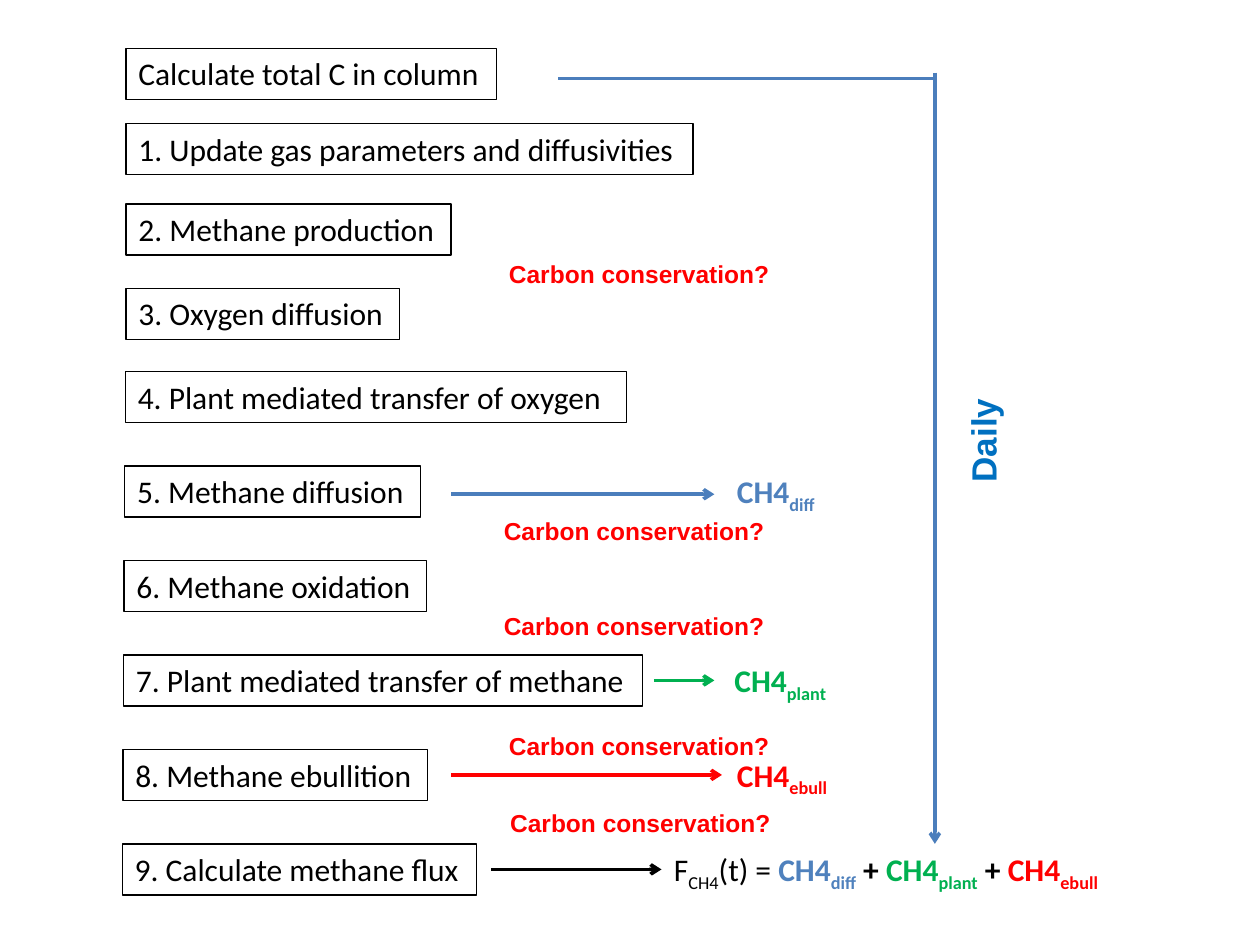
from dataclasses import dataclass

from lxml import etree
from pptx import Presentation, util as u
from pptx.dml.color import RGBColor
from pptx.enum import shapes, text
from pptx.oxml import ns


@dataclass(frozen=True)
class Theme:
    black: str = "000000"
    blue: str = "4F81BD"
    line_blue: str = "4B7EBC"
    daily_blue: str = "0070C0"
    green: str = "00B050"
    red: str = "FF0000"
    body_font: str = "Calibri"
    note_font: str = "Arial"
    body_size: int = 18
    note_size: int = 14
    daily_size: int = 20
    border: float = 0.75
    arrow: float = 2


THEME = Theme()

# Grid of ten columns and ten rows
WIDTH, HEIGHT = u.Inches(10), u.Inches(7.5)
COLUMN, ROW = WIDTH / 10, HEIGHT / 10
BOX_ROWS = 0.54
FIRST_FLUX_STEP = 5

# Steps: row, width in columns, wording
STEPS = [
    (0.51, 2.94, "Calculate total C in column"),
    (1.31, 4.5, "1. Update gas parameters and diffusivities"),
    (2.16, 2.58, "2. Methane production"),
    (3.05, 2.17, "3. Oxygen diffusion"),
    (3.93, 3.98, "4. Plant mediated transfer of oxygen "),
    (4.93, 2.35, "5. Methane diffusion"),
    (5.93, 2.4, "6. Methane oxidation"),
    (6.93, 4.12, "7. Plant mediated transfer of methane"),
    (7.93, 2.42, "8. Methane ebullition"),
    (8.93, 2.81, "9. Calculate methane flux"),
]

# Checks: column, row
CHECKS = [(3.94, 2.68), (3.9, 5.39), (3.9, 6.4), (3.94, 7.67), (3.95, 8.49)]

# Fluxes: column, row, width, subscript, colour
FLUXES = [
    (5.75, 4.93, 0.86, "diff", THEME.blue),
    (5.73, 6.93, 0.99, "plant", THEME.green),
    (5.75, 7.93, 0.97, "ebull", THEME.red),
]

# Lines: start, end, colour, arrowhead
LINES = [
    ((3.58, 5.23), (5.67, 5.23), THEME.line_blue, True),
    ((5.19, 7.2), (5.67, 7.2), THEME.green, True),
    ((3.58, 8.2), (5.73, 8.2), THEME.red, True),
    ((3.9, 9.2), (5.25, 9.2), THEME.black, True),
    ((7.42, 0.77), (7.42, 8.93), THEME.line_blue, True),
    ((4.43, 0.83), (7.42, 0.83), THEME.line_blue, False),
]


def grid(column, row):
    return round(column * COLUMN), round(row * ROW)


def fit_text(shape):
    frame = shape.text_frame
    frame.word_wrap = False
    frame.auto_size = text.MSO_AUTO_SIZE.SHAPE_TO_FIT_TEXT
    return frame


def style_span(span, color, font=THEME.body_font, size=THEME.body_size,
               bold=False, subscript=False):
    span.font.name = font
    span.font.size = u.Pt(size)
    span.font.bold = bold
    span.font.color.rgb = RGBColor.from_string(color)
    if subscript:
        span.font._element.set("baseline", "-25000")


def add_step(page, column, row, columns, wording):
    box = page.shapes.add_shape(shapes.MSO_SHAPE.RECTANGLE,
                                *grid(column, row), *grid(columns, BOX_ROWS))
    box.shadow.inherit = False
    box.fill.background()
    box.line.color.rgb = RGBColor.from_string(THEME.black)
    box.line.width = u.Pt(THEME.border)
    frame = fit_text(box)
    frame.vertical_anchor = text.MSO_ANCHOR.TOP
    frame.text = wording
    para = frame.paragraphs[0]
    para.alignment = text.PP_ALIGN.LEFT
    style_span(para.runs[0], THEME.black)


def add_label(page, column, row, columns, rows, wording, color, size):
    box = page.shapes.add_textbox(*grid(column, row), *grid(columns, rows))
    frame = fit_text(box)
    frame.text = wording
    style_span(frame.paragraphs[0].runs[0], color, THEME.note_font, size, bold=True)
    return box


def add_formula(page, column, row, columns, parts):
    """Each part is wording, colour, bold, subscript."""
    box = page.shapes.add_textbox(*grid(column, row), *grid(columns, BOX_ROWS))
    para = fit_text(box).paragraphs[0]
    for wording, color, bold, subscript in parts:
        span = para.add_run()
        span.text = wording
        style_span(span, color, bold=bold, subscript=subscript)


def flux_parts(name, color):
    return [("CH4", color, True, False), (name, color, True, True)]


def add_line(page, start, end, color, arrowhead):
    line = page.shapes.add_connector(shapes.MSO_CONNECTOR.STRAIGHT,
                                     *grid(*start), *grid(*end))
    line.line.color.rgb = RGBColor.from_string(color)
    line.line.width = u.Pt(THEME.arrow)
    if arrowhead:
        etree.SubElement(line.line._get_or_add_ln(), ns.qn("a:tailEnd"), type="arrow")
    etree.SubElement(line._element.spPr, ns.qn("a:effectLst"))


def main():
    deck = Presentation()
    deck.slide_width, deck.slide_height = WIDTH, HEIGHT
    page = deck.slides.add_slide(deck.slide_layouts[6])

    # Steps, drifting slightly left down the page
    for index, (row, columns, wording) in enumerate(STEPS):
        column = 1 - 0.005 * max(0, index - FIRST_FLUX_STEP + 2)
        add_step(page, column, row, columns, wording)

    # Fluxes and their sum
    total = [("F", THEME.black, False, False), ("CH4", THEME.black, False, True),
             ("(t) = ", THEME.black, False, False)]
    joins = [" + ", " + ", ""]
    for (column, row, columns, name, color), join in zip(FLUXES, joins):
        add_formula(page, column, row, columns, flux_parts(name, color))
        total += flux_parts(name, color)
        if join:
            total.append((join, THEME.black, True, False))
    add_formula(page, 5.25, STEPS[-1][0], 3.77, total)

    # Arrows and the daily loop
    for line in LINES:
        add_line(page, *line)

    # Carbon checks and the loop's label
    for column, row in CHECKS:
        add_label(page, column, row, 2.28, 0.45, "Carbon conservation?",
                  THEME.red, THEME.note_size)
    daily = add_label(page, 7.37, 4.36, 0.87, 0.59, "Daily",
                      THEME.daily_blue, THEME.daily_size)
    daily.rotation = 270

    deck.save("out.pptx")


main()
